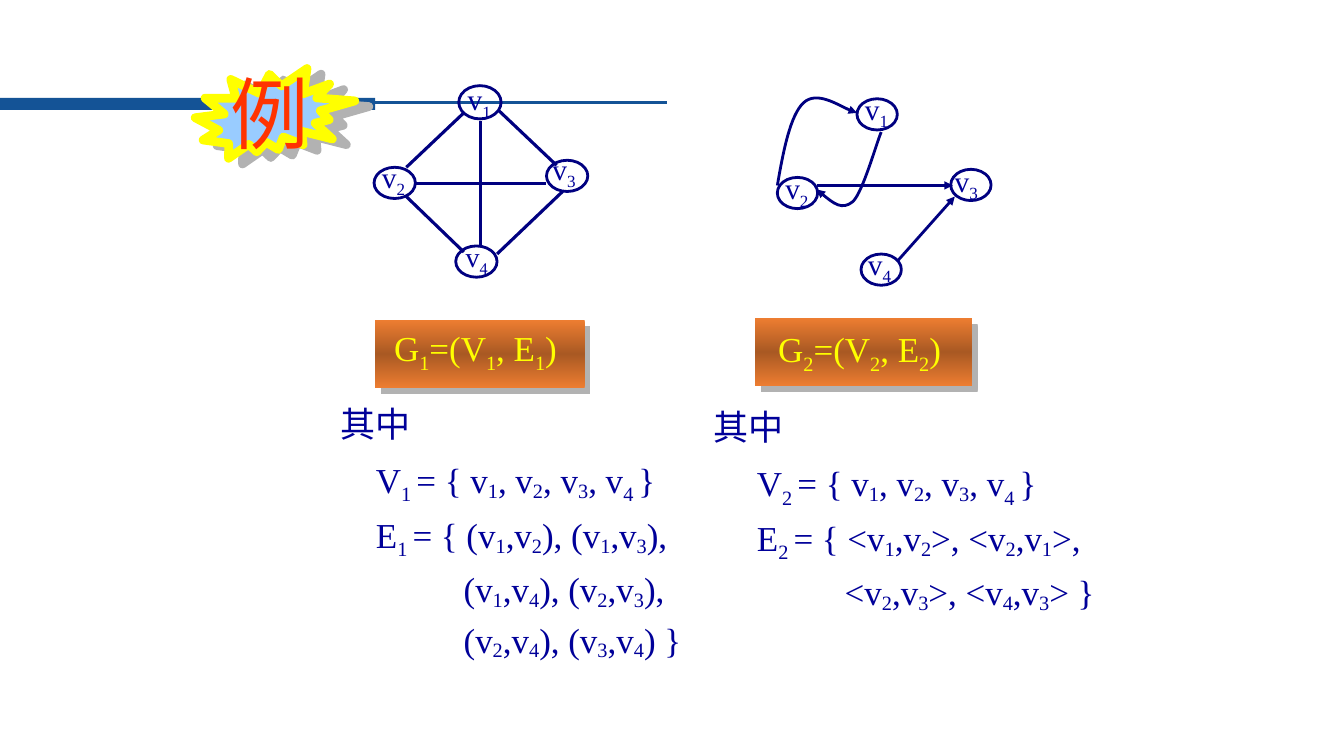
"""Builds a slide that compares an undirected and a directed graph."""
from dataclasses import dataclass
from lxml import etree
from pptx import Presentation
from pptx.dml.color import RGBColor
from pptx.enum.shapes import MSO_CONNECTOR, MSO_SHAPE
from pptx.enum.text import MSO_ANCHOR, MSO_AUTO_SIZE, PP_ALIGN
from pptx.oxml import parse_xml
from pptx.oxml.ns import nsdecls, qn
from pptx.util import Pt

PX = 9144


@dataclass(frozen=True)
class Theme:
    """Colours, fonts and type sizes of the slide."""
    band: str = "145396"
    graph: str = "000080"
    text: str = "000099"
    title: str = "FF3300"
    formula: str = "FFFF00"
    burst: str = "99CCFF"
    burst_edge: str = "FFFF00"
    plate: str = "ED7D31"
    shadow: str = "B2B2B2"
    glyph_shadow: str = "000000"
    latin: str = "Times New Roman"
    cjk: str = "Noto Sans CJK SC"
    title_size: int = 56
    body_size: int = 25
    node_size: int = 21
    small_node_size: int = 20


def apply(target, formats):
    """Set each named attribute on the target."""
    for name, value in formats.items():
        setattr(target, name, value)


def split_subscripts(text):
    """Yield text pieces with baselines; _ is a deep and ~ a shallow subscript."""
    plain, position = "", 0
    while position < len(text):
        mark = text[position]
        if mark in "_~":
            if plain:
                yield plain, 0
            deep = mark == "_"
            length = 2 if deep and text[position + 2:position + 3] == " " else 1
            yield text[position + 1:position + 1 + length], -25 if deep else -14
            plain, position = "", position + 1 + length
        else:
            plain, position = plain + mark, position + 1
    if plain:
        yield plain, 0


class GraphSlide:
    """Draws styled elements on one slide."""

    def __init__(self, slide, theme):
        self.shapes = slide.shapes
        self.theme = theme

    def stroke(self, line, color, width, arrow=None):
        apply(line, {"width": Pt(width)})
        apply(line.color, {"rgb": RGBColor.from_string(color)})
        if arrow:
            etree.SubElement(line._get_or_add_ln(), qn(f"a:{arrow}End"), type="triangle")

    def shape(self, kind, box, fill=None, edge=None, width=2, rotation=0):
        shape = self.shapes.add_shape(kind, *(PX * side for side in box))
        apply(shape, {"rotation": rotation})
        apply(shape.shadow, {"inherit": False})
        if fill:
            shape.fill.solid()
            apply(shape.fill.fore_color, {"rgb": RGBColor.from_string(fill)})
        else:
            shape.fill.background()
        if edge:
            self.stroke(shape.line, edge, width)
        else:
            shape.line.fill.background()
        return shape

    def cast_shadow(self, shape, distance, angle):
        shape.element.spPr.find(qn("a:effectLst")).append(parse_xml(
            f'<a:outerShdw {nsdecls("a")} dist="{Pt(distance)}" dir="{angle * 60000}"'
            f' algn="ctr" rotWithShape="0"><a:srgbClr val="{self.theme.shadow}"/></a:outerShdw>'))

    def plate(self, box):
        plate = self.shape(MSO_SHAPE.RECTANGLE, box, self.theme.plate)
        plate.fill.gradient()
        apply(plate.fill, {"gradient_angle": 270})
        stops = plate.element.spPr.find(qn("a:gradFill")).find(qn("a:gsLst"))
        stops.clear()
        for place, shade in ((0, ""), (50, '<a:shade val="46275"/>'), (100, "")):
            stops.append(parse_xml(
                f'<a:gs {nsdecls("a")} pos="{place * 1000}">'
                f'<a:srgbClr val="{self.theme.plate}">{shade}</a:srgbClr></a:gs>'))
        self.cast_shadow(plate, 5.7, 45)

    def line(self, start, end, color, width=2.25, arrow=None):
        line = self.shapes.add_connector(
            MSO_CONNECTOR.STRAIGHT, *(PX * value for value in (*start, *end)))
        self.stroke(line.line, color, width, arrow)
        etree.SubElement(line.element.spPr, qn("a:effectLst"))

    def curve(self, start, controls, arrow):
        builder = self.shapes.build_freeform(*start, scale=PX)
        builder.add_line_segments(controls, close=False)
        curve = builder.convert_to_shape()
        curve.fill.background()
        apply(curve.shadow, {"inherit": False})
        self.stroke(curve.line, self.theme.graph, 2, arrow)
        outline = next(curve.element.iter(qn("a:path")))
        segments = outline.findall(qn("a:lnTo"))
        for first in range(0, len(segments), 3):
            bezier = etree.SubElement(outline, qn("a:cubicBezTo"))
            for segment in segments[first:first + 3]:
                bezier.append(segment[0])
                outline.remove(segment)

    def add_pieces(self, paragraph, text, size, color, font=None, shadow=None):
        for piece, baseline in split_subscripts(text):
            run = paragraph.add_run()
            apply(run, {"text": piece})
            apply(run.font, {"size": Pt(size), "name": font or self.theme.latin})
            apply(run.font.color, {"rgb": RGBColor.from_string(color)})
            properties = run.font._element
            if baseline:
                properties.set("baseline", str(baseline * 1000))
            if shadow:
                properties.find(qn("a:solidFill")).addnext(parse_xml(
                    f'<a:effectLst {nsdecls("a")}><a:outerShdw dist="25400" dir="2700000">'
                    f'<a:srgbClr val="{shadow}"/></a:outerShdw></a:effectLst>'))

    def frame(self, box, formats):
        frame = self.shapes.add_textbox(*(PX * side for side in box)).text_frame
        apply(frame, {"word_wrap": True, "auto_size": MSO_AUTO_SIZE.NONE, **formats})
        return frame

    def label(self, box, text, size, color, shadow=None, align=PP_ALIGN.LEFT, **formats):
        paragraph = self.frame(box, formats).paragraphs[0]
        apply(paragraph, {"alignment": align})
        self.add_pieces(paragraph, text, size, color, shadow=shadow)

    def node(self, name, oval, corner, size):
        self.shape(MSO_SHAPE.OVAL, oval, edge=self.theme.graph)
        self.label((*corner, 45, 45), name, size, self.theme.text,
                   word_wrap=False, auto_size=MSO_AUTO_SIZE.SHAPE_TO_FIT_TEXT)

    def definition(self, box, heading_indent, font, rows):
        frame = self.frame(box, {})
        heading = frame.paragraphs[0]
        apply(heading, {"space_after": Pt(5)})
        heading._p.get_or_add_pPr().set("marL", str(heading_indent * PX))
        self.add_pieces(heading, "其中", self.theme.body_size, self.theme.text, font)
        for indent, text in rows:
            row = frame.add_paragraph()
            apply(row, {"line_spacing": 1.15})
            row._p.get_or_add_pPr().set("marL", str(indent * PX))
            self.add_pieces(row, text, self.theme.body_size, self.theme.text)


def main():
    deck = Presentation()
    apply(deck, {"slide_width": 1333 * PX, "slide_height": 750 * PX})
    theme = Theme()
    page = GraphSlide(deck.slides.add_slide(deck.slide_layouts[6]), theme)

    page.shape(MSO_SHAPE.RECTANGLE, (0, 97, 372, 12), theme.band)
    page.line((368, 102), (662, 102), theme.band)
    burst = page.shape(MSO_SHAPE.EXPLOSION2, (194, 66, 157, 94), theme.burst,
                       theme.burst_edge, 6.25, 3.8)
    page.cast_shadow(burst, 10.8, 22)
    page.label((218, 60, 99, 104), "例", theme.title_size, theme.title, theme.shadow,
               PP_ALIGN.CENTER, word_wrap=False)

    normal, small = theme.node_size, theme.small_node_size
    for node in (("v_1", (455, 85, 42, 33), (454, 76), normal),
                 ("v_2", (371, 166, 41, 31), (369, 153), normal),
                 ("v_3", (542, 159, 41, 31), (538, 145), normal),
                 ("v_4", (452, 244, 41, 31), (452, 233), small),
                 ("v_1", (850, 98, 40, 31), (848, 85), normal),
                 ("v_2", (771, 176, 40, 31), (769, 164), normal),
                 ("v_3", (943, 168, 40, 31), (937, 157), normal),
                 ("v_4", (854, 252, 40, 31), (851, 239), normal)):
        page.node(*node)
    for edge in (((403, 166), (460, 112)), ((411, 182), (542, 182)),
                 ((477, 120), (477, 244)), ((495, 110), (552, 164)),
                 ((493, 252), (558, 190)), ((403, 195), (460, 250))):
        page.line(*edge, theme.graph)
    for arc in (((810, 184), (945, 184)), ((891, 258), (947, 195))):
        page.line(*arc, theme.graph, 2, "tail")
    page.curve((771, 184), ((777, 149), (784, 114), (797, 102),
                            (810, 90), (841, 110), (850, 112)), "tail")
    page.curve((810, 188), ((823, 199), (835, 209), (846, 200),
                            (856, 190), (869, 143), (874, 131)), "head")

    for plate, caption, formula in (
            ((372, 318, 208, 67), (381, 322, 215, 52), "G_1=(V_1, E_1)"),
            ((749, 316, 215, 67), (762, 323, 197, 52), "G_2=(V_2, E_2)")):
        page.plate(plate)
        page.label(caption, formula, theme.body_size, theme.formula, theme.glyph_shadow,
                   vertical_anchor=MSO_ANCHOR.MIDDLE)

    name_indent, pair_indent = 43, 130
    page.definition((320, 394, 385, 250), 8, theme.cjk, (
        (name_indent, "V_1 = { v~1, v~2, v~3, v_4 }"),
        (name_indent, "E_1 = { (v~1,v~2), (v~1,v~3),"),
        (pair_indent, "(v~1,v~4), (v~2,v~3),"),
        (pair_indent, "(v~2,v~4), (v~3,v~4) }")))
    page.definition((698, 397, 417, 202), 0, theme.latin, (
        (name_indent, "V_2 = { v~1, v~2, v~3, v_4 }"),
        (name_indent, "E_2 = { <v~1,v~2>, <v~2,v~1>,"),
        (pair_indent, "<v~2,v~3>, <v~4,v~3> }")))
    deck.save("out.pptx")


if __name__ == "__main__":
    main()
